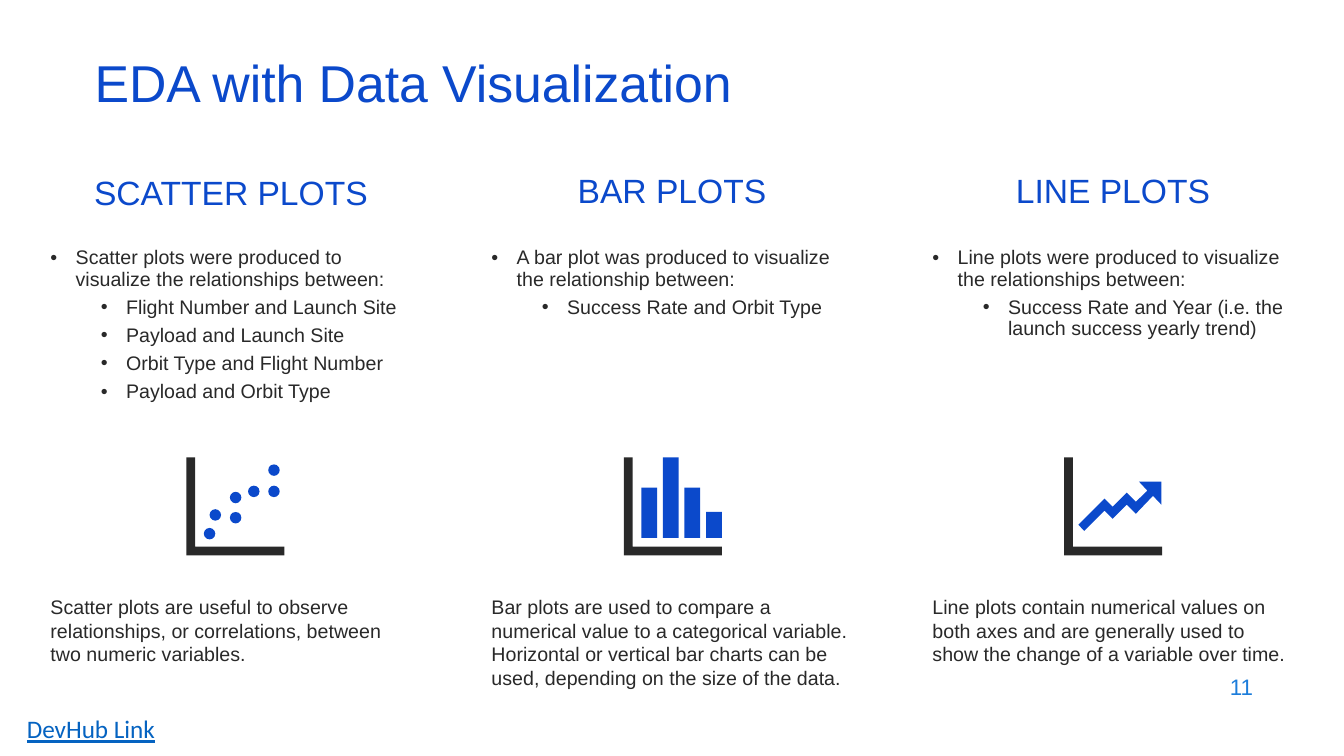
from lxml.etree import SubElement
from pptx import Presentation
from pptx.dml.color import RGBColor
from pptx.enum.shapes import MSO_SHAPE as SHAPE
from pptx.enum.text import MSO_ANCHOR as ANCHOR, PP_ALIGN as ALIGN
from pptx.oxml.ns import qn
from pptx.util import Pt

COLORS = {"blue": "0B49CB", "dark": "292929", "number": "1C7DDB", "link": "0563C1"}

COLUMN_LEFT, COLUMN_PITCH, COLUMN_WIDTH = 29, 315, 272
ICON_TOP, ICON_SIZE, AXIS_WIDTH = 326.7, 70, 6.2
BAR_LEFT, BAR_PITCH, BAR_WIDTH, BAR_BASE = 12.4, 15.4, 11.3, 57.6
BAR_HEIGHTS = [36, 57.6, 36, 18.7]
DOT_SIZE = 8.2
DOTS = [(12.4, 50.4), (16.5, 37), (31, 39), (31, 24.6), (44, 20.2), (58.4, 20.2), (58.4, 5)]
TREND = [(53.5, 17.3), (59.5, 23.8), (51.3, 31.7), (44.8, 25.2), (34.7, 35.3),
         (28.9, 29.5), (10.2, 48.2), (14.5, 52.5), (28.9, 38.1), (34.7, 43.9),
         (44.8, 33.8), (51.3, 40.3), (63.5, 27.5), (69.5, 33.8), (69.5, 17.3)]


def color(name):
    return RGBColor.from_string(COLORS[name])


def add_text(slide, box, lines, size, ink, font="Arial", align=ALIGN.LEFT,
             anchor=ANCHOR.TOP, spacing=None, bulleted=False, underline=None):
    frame = slide.shapes.add_textbox(*map(Pt, box)).text_frame
    frame.word_wrap = True
    frame.vertical_anchor = anchor
    for index, line in enumerate(lines):
        paragraph = frame.paragraphs[0] if index == 0 else frame.add_paragraph()
        paragraph.text = line
        paragraph.alignment = align
        if spacing:
            paragraph.line_spacing = spacing
        if bulleted:
            add_bullet(paragraph, min(index, 1))
        paragraph.font.name = font
        paragraph.font.size = Pt(size)
        paragraph.font.color.rgb = color(ink)
        paragraph.font.underline = underline


def add_bullet(paragraph, level):
    paragraph.level = level
    if level:
        paragraph.space_before = Pt(5)
    properties = paragraph._p.get_or_add_pPr()
    properties.set("marL", str(Pt(18 + 36 * level)))
    properties.set("indent", str(Pt(-18)))
    SubElement(properties, qn("a:buFont"), typeface="Arial")
    SubElement(properties, qn("a:buChar"), char="•")


def paint(shape, ink):
    shape.shadow.inherit = False
    shape.fill.solid()
    shape.fill.fore_color.rgb = color(ink)
    shape.line.fill.background()


def add_preset(slide, kind, box, ink):
    paint(slide.shapes.add_shape(kind, *map(Pt, box)), ink)


def add_outline(slide, left, top, points, ink):
    first, *rest = [(Pt(left + x), Pt(top + y)) for x, y in points]
    builder = slide.shapes.build_freeform(*first, scale=1.0)
    builder.add_line_segments(rest, close=True)
    paint(builder.convert_to_shape(), ink)


def add_axes(slide, left, top):
    inner = ICON_SIZE - AXIS_WIDTH
    corners = [(AXIS_WIDTH, 0), (0, 0), (0, ICON_SIZE), (ICON_SIZE, ICON_SIZE),
               (ICON_SIZE, inner), (AXIS_WIDTH, inner)]
    add_outline(slide, left, top, corners, "dark")


def scatter_icon(slide, left, top):
    add_axes(slide, left, top)
    for x, y in DOTS:
        add_preset(slide, SHAPE.OVAL, (left + x, top + y, DOT_SIZE, DOT_SIZE), "blue")


def bar_icon(slide, left, top):
    add_axes(slide, left, top)
    for index, height in enumerate(BAR_HEIGHTS):
        box = (left + BAR_LEFT + index * BAR_PITCH, top + BAR_BASE - height, BAR_WIDTH, height)
        add_preset(slide, SHAPE.RECTANGLE, box, "blue")


def line_icon(slide, left, top):
    add_axes(slide, left, top)
    add_outline(slide, left, top, TREND, "blue")


PLOTS = [
    ("SCATTER PLOTS", None,
     ["Scatter plots were produced to visualize the relationships between:",
      "Flight Number and Launch Site", "Payload and Launch Site",
      "Orbit Type and Flight Number", "Payload and Orbit Type"],
     scatter_icon, 104.2,
     "Scatter plots are useful to observe relationships, or correlations, "
     "between two numeric variables."),
    ("BAR PLOTS", 0.9,
     ["A bar plot was produced to visualize the relationship between:",
      "Success Rate and Orbit Type"],
     bar_icon, 101.7,
     "Bar plots are used to compare a numerical value to a categorical variable. "
     "Horizontal or vertical bar charts can be used, depending on the size of the data."),
    ("LINE PLOTS", 0.9,
     ["Line plots were produced to visualize the relationships between:",
      "Success Rate and Year (i.e. the launch success yearly trend)"],
     line_icon, 101.1,
     "Line plots contain numerical values on both axes and are generally used "
     "to show the change of a variable over time."),
]


def add_plot_column(slide, left, width, plot):
    heading, heading_spacing, findings, draw_icon, icon_offset, purpose = plot
    add_text(slide, (left, 104.4, width, 66.2), [heading], 24, "blue",
             align=ALIGN.CENTER, anchor=ANCHOR.MIDDLE, spacing=heading_spacing)
    add_text(slide, (left, 173.5, width, 112), findings, 14, "dark",
             spacing=0.9, bulleted=True)
    draw_icon(slide, left + icon_offset, ICON_TOP)
    add_text(slide, (left, 421.6, width, 75), [purpose], 14, "dark")


def add_frame(slide):
    add_text(slide, (60.5, 42.5, 828, 43.2), ["EDA with Data Visualization"], 37, "blue",
             anchor=ANCHOR.MIDDLE, spacing=0.7)
    add_text(slide, (686.2, 474.5, 216, 31.7), ["11"], 16, "number",
             align=ALIGN.RIGHT, anchor=ANCHOR.MIDDLE)
    add_text(slide, (0, 506.2, 130, 28.8), ["DevHub Link"], 18, "link",
             font="Calibri", align=ALIGN.CENTER, underline=True)


def main():
    deck = Presentation()
    deck.slide_width, deck.slide_height = Pt(960), Pt(540)
    slide = deck.slides.add_slide(deck.slide_layouts[6])
    add_frame(slide)
    for index, plot in enumerate(PLOTS):
        add_plot_column(slide, COLUMN_LEFT + index * COLUMN_PITCH, COLUMN_WIDTH, plot)
    deck.save("out.pptx")


if __name__ == "__main__":
    main()
